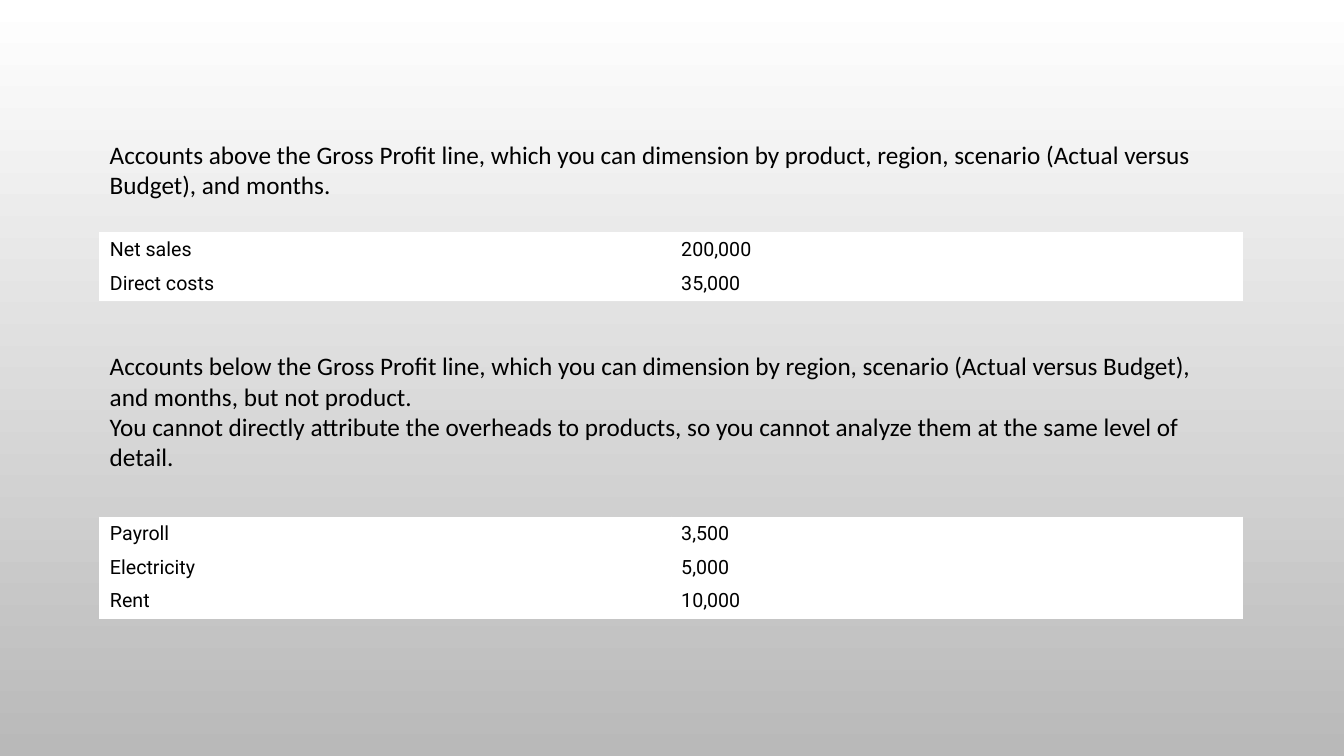
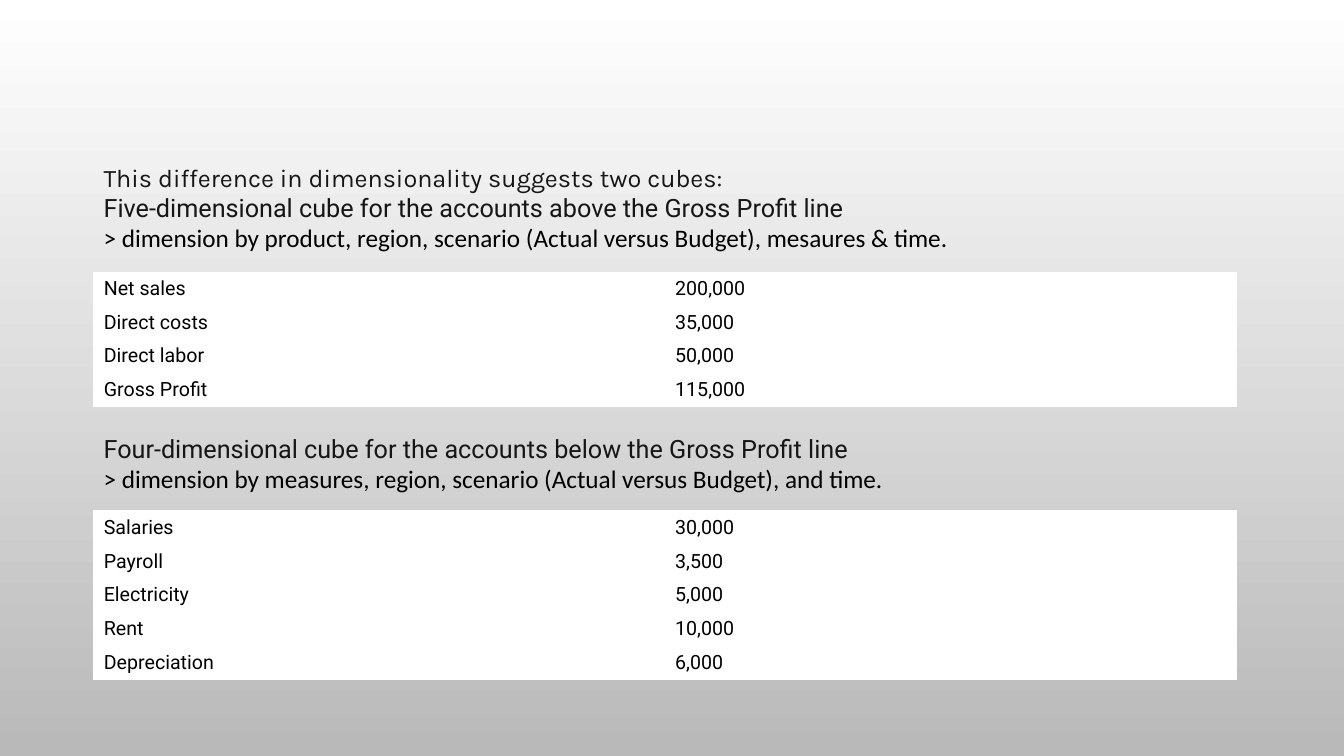
"""Build two slides that group accounts by the dimensions they share."""
from dataclasses import dataclass

from pptx import Presentation
from pptx.dml.color import RGBColor
from pptx.enum.text import MSO_ANCHOR as Anchor
from pptx.presentation import Presentation as Deck
from pptx.slide import Slide
from pptx.text.text import _Paragraph as Paragraph
from pptx.util import Inches, Pt

WHITE = RGBColor(0xFF, 0xFF, 0xFF)
GREY = RGBColor(0xB9, 0xB9, 0xB9)
BLACK = RGBColor(0x00, 0x00, 0x00)
CHARCOAL = RGBColor(0x16, 0x16, 0x16)

UNIT = 1 / 3
COLUMN_UNITS = 17
LINE_HEIGHT = 0.3
BOX_PADDING = 0.1


@dataclass(frozen=True)
class Line:
    text: str
    font: str = "Calibri"
    color: RGBColor = BLACK


@dataclass(frozen=True)
class Section:
    text_top: float
    text_rows: int
    lines: tuple[Line, ...]
    table_top: float
    accounts: tuple[tuple[str, str], ...]


@dataclass(frozen=True)
class PageContent:
    left: float
    text_width: float
    sections: tuple[Section, ...]


PAGES = (
    PageContent(0.99, 11.06, (
        Section(1.33, 2, (
            Line("Accounts above the Gross Profit line, which you can dimension by product, "
                 "region, scenario (Actual versus Budget), and months."),
        ), 2.31, (("Net sales", "200,000"), ("Direct costs", "35,000"))),
        Section(3.43, 4, (
            Line("Accounts below the Gross Profit line, which you can dimension by region, "
                 "scenario (Actual versus Budget), and months, but not product."),
            Line("You cannot directly attribute the overheads to products, so you cannot "
                 "analyze them at the same level of detail."),
        ), 5.13, (("Payroll", "3,500"), ("Electricity", "5,000"), ("Rent", "10,000"))),
    )),
    PageContent(0.93, 11.77, (
        Section(1.56, 3, (
            Line("This difference in dimensionality suggests two cubes:", "Karla", CHARCOAL),
            Line("Five-dimensional cube for the accounts above the Gross Profit line",
                 "Roboto", CHARCOAL),
            Line("> dimension by product, region, scenario (Actual versus Budget), "
                 "mesaures & time."),
        ), 2.7, (("Net sales", "200,000"), ("Direct costs", "35,000"),
                 ("Direct labor", "50,000"), ("Gross Profit", "115,000"))),
        Section(4.25, 2, (
            Line("Four-dimensional cube for the accounts below the Gross Profit line",
                 "Roboto", CHARCOAL),
            Line("> dimension by measures, region, scenario (Actual versus Budget), and time."),
        ), 5.07, (("Salaries", "30,000"), ("Payroll", "3,500"), ("Electricity", "5,000"),
                  ("Rent", "10,000"), ("Depreciation", "6,000"))),
    )),
)


def write(para: Paragraph, text: str, *, size: int, font: str, color: RGBColor) -> None:
    span = para.add_run()
    span.text = text
    span.font.size = Pt(size)
    span.font.name = font
    span.font.color.rgb = color


def shade_master(deck: Deck) -> None:
    fill = deck.slide_master.background.fill
    fill.gradient()
    fill.gradient_angle = 270
    for stop, color, position in zip(fill.gradient_stops, (WHITE, GREY), (0, 1)):
        stop.color.rgb = color
        stop.position = position


def add_text(page: Slide, section: Section, left: float, width: float) -> None:
    height = BOX_PADDING + section.text_rows * LINE_HEIGHT
    box = page.shapes.add_textbox(
        Inches(left), Inches(section.text_top), Inches(width), Inches(height))
    frame = box.text_frame
    frame.word_wrap = True
    for index, line in enumerate(section.lines):
        para = frame.add_paragraph() if index else frame.paragraphs[0]
        write(para, line.text, size=18, font=line.font, color=line.color)


def add_accounts(page: Slide, section: Section, left: float) -> None:
    rows = len(section.accounts)
    table = page.shapes.add_table(
        rows, 2, Inches(left), Inches(section.table_top),
        Inches(2 * COLUMN_UNITS * UNIT), Inches(rows * UNIT)).table
    table.first_row = False
    table.horz_banding = False
    for row, account in enumerate(section.accounts):
        for column, text in enumerate(account):
            cell = table.cell(row, column)
            cell.fill.solid()
            cell.fill.fore_color.rgb = WHITE
            cell.vertical_anchor = Anchor.MIDDLE
            write(cell.text_frame.paragraphs[0], text, size=14, font="Roboto", color=BLACK)


def main() -> None:
    deck = Presentation()
    deck.slide_width = Inches(13.33)
    deck.slide_height = Inches(7.5)
    shade_master(deck)
    blank = deck.slide_layouts.get_by_name("Blank")
    for content in PAGES:
        page = deck.slides.add_slide(blank)
        for section in content.sections:
            add_text(page, section, content.left, content.text_width)
            add_accounts(page, section, content.left)
    deck.save("out.pptx")


if __name__ == "__main__":
    main()
